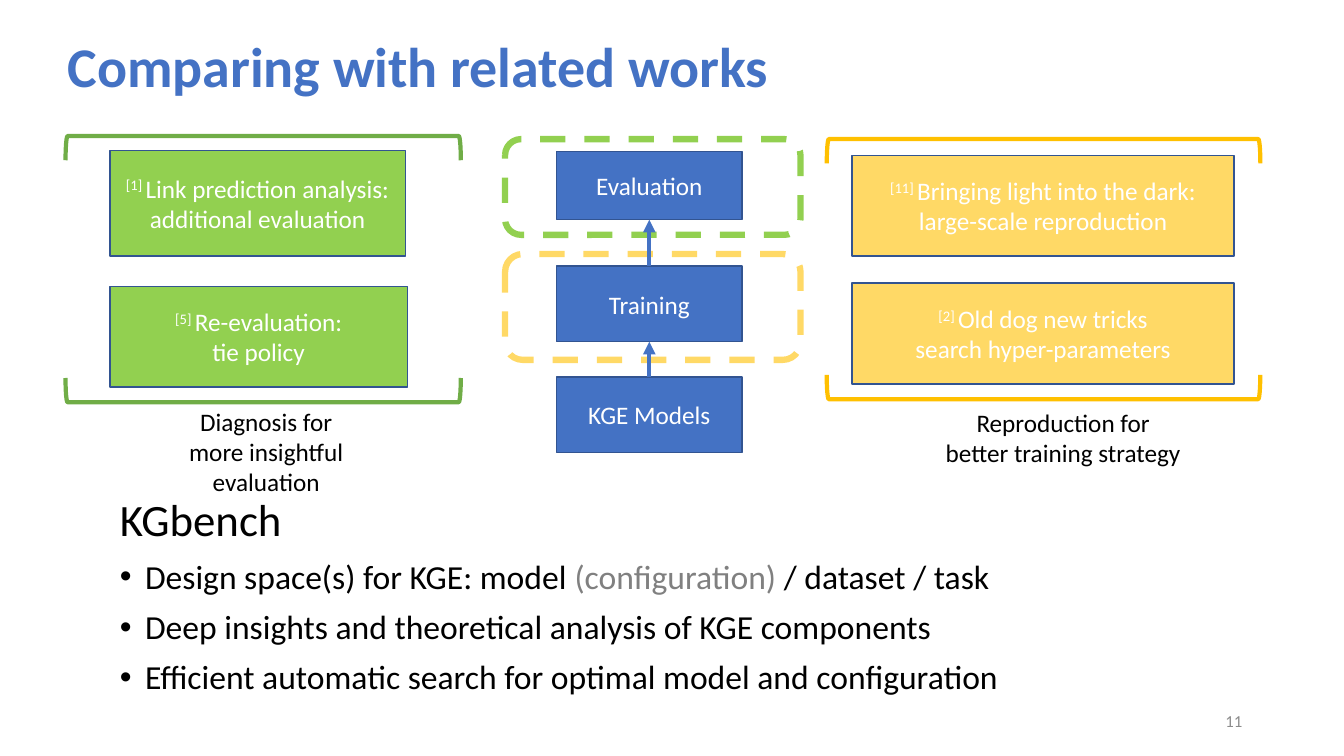
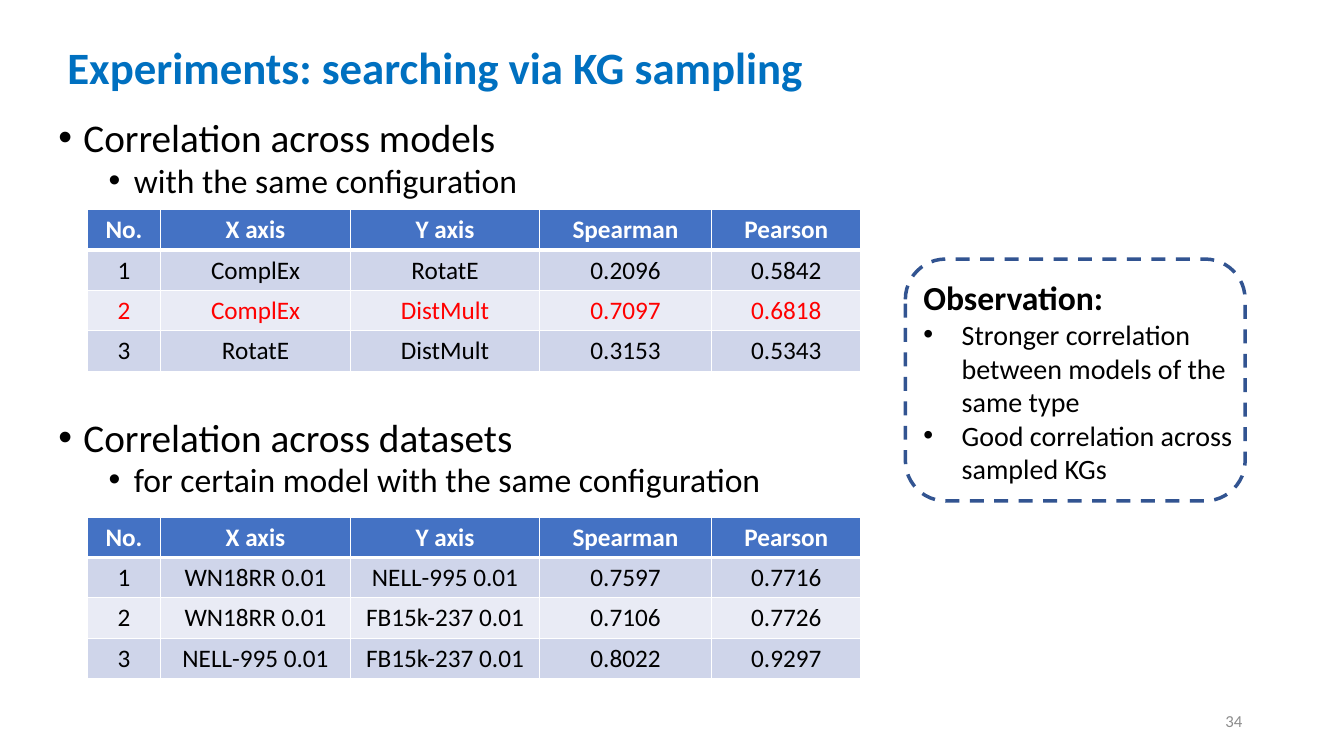
from dataclasses import dataclass
from typing import NamedTuple, Optional

import pptx
import pptx.dml.color
import pptx.enum.dml
import pptx.enum.shapes
import pptx.enum.text
import pptx.oxml
import pptx.oxml.ns
import pptx.util
from lxml import etree

EMU_PER_PX = 9144
SLIDE_SIZE = (1333, 750)
FONT = "Calibri"

BLACK, WHITE, GRAY, PAGE_GRAY, RED = "000000", "FFFFFF", "808080", "8C8C8C", "FF0000"
BLUE, TITLE_BLUE, OUTLINE = "4472C4", "0070C0", "325491"
LIME, GREEN, YELLOW, AMBER = "92D050", "70AD47", "FFD966", "FFC000"
BAND_DARK, BAND_LIGHT = "CFD5EA", "E9EBF5"

Shapes = pptx.enum.shapes.MSO_SHAPE
Align = pptx.enum.text.PP_ALIGN
Anchor = pptx.enum.text.MSO_ANCHOR


class Area(NamedTuple):
    left: int
    top: int
    width: int
    height: int


class Run(NamedTuple):
    text: str
    color: Optional[str] = None
    superscript: bool = False


@dataclass(frozen=True)
class Para:
    runs: tuple[Run, ...]
    size: int = 18
    color: str = BLACK
    bold: bool = False
    align: Align = Align.LEFT
    before: int = 0
    spacing: float = 1.0
    indent: int = 0
    hang: int = 0


class RelatedWork(NamedTuple):
    area: Area
    fill: str
    reference: str
    title: str
    finding: str


class BracketPair(NamedTuple):
    center: int
    span: int
    top_middle: int
    bottom_middle: int
    color: str


class Correlation(NamedTuple):
    top: int
    rows: tuple[tuple[str, ...], ...]
    highlighted: Optional[int] = None


def px(length: int) -> int:
    return pptx.util.Emu(length * EMU_PER_PX)


def rgb(color: str) -> pptx.dml.color.RGBColor:
    return pptx.dml.color.RGBColor.from_string(color)


def plain(text: str, **style) -> Para:
    return Para((Run(text),), **style)


def add_bullet(paragraph, indent: int, hang: int) -> None:
    properties = paragraph._p.get_or_add_pPr()
    properties.set("marL", str(px(indent)))
    properties.set("indent", str(-px(hang)))
    for tag, key, value in (("a:buFont", "typeface", "Arial"), ("a:buChar", "char", "•")):
        etree.SubElement(properties, pptx.oxml.ns.qn(tag)).set(key, value)


def write(frame, paras: list[Para]) -> None:
    for number, para in enumerate(paras):
        paragraph = frame.add_paragraph() if number else frame.paragraphs[0]
        if para.hang:
            add_bullet(paragraph, para.indent, para.hang)
        paragraph.alignment = para.align
        paragraph.line_spacing = para.spacing
        paragraph.space_before = pptx.util.Pt(para.before)
        paragraph.font.name = FONT
        paragraph.font.size = pptx.util.Pt(para.size)
        paragraph.font.bold = para.bold
        paragraph.font.color.rgb = rgb(para.color)
        for part in para.runs:
            run = paragraph.add_run()
            run.text = part.text
            if part.color:
                run.font.color.rgb = rgb(part.color)
            if part.superscript:
                run._r.get_or_add_rPr().set("baseline", "30000")


def add_text(slide, area: Area, paras: list[Para], anchor: Anchor = Anchor.TOP) -> None:
    frame = slide.shapes.add_textbox(*map(px, area)).text_frame
    frame.word_wrap = True
    frame.vertical_anchor = anchor
    write(frame, paras)


def add_outline(slide, kind: Shapes, area: Area, color: str, width: float,
                fill: Optional[str] = None, dashed: bool = False):
    shape = slide.shapes.add_shape(kind, *map(px, area))
    shape.shadow.inherit = False
    if fill:
        shape.fill.solid()
        shape.fill.fore_color.rgb = rgb(fill)
    else:
        shape.fill.background()
    shape.line.color.rgb = rgb(color)
    shape.line.width = pptx.util.Pt(width)
    if dashed:
        shape.line.dash_style = pptx.enum.dml.MSO_LINE.DASH
    return shape


def add_box(slide, area: Area, fill: str, paras: list[Para]):
    box = add_outline(slide, Shapes.RECTANGLE, area, OUTLINE, 1, fill)
    box.text_frame.word_wrap = True
    box.text_frame.vertical_anchor = Anchor.MIDDLE
    write(box.text_frame, paras)
    return box


def add_up_arrow(slide, lower, upper) -> None:
    arrow = slide.shapes.add_connector(pptx.enum.shapes.MSO_CONNECTOR.STRAIGHT, 0, 0, 0, 0)
    arrow.begin_connect(lower, 0)
    arrow.end_connect(upper, 2)
    arrow.line.color.rgb = rgb(BLUE)
    arrow.line.width = pptx.util.Pt(3)
    etree.SubElement(arrow.line._get_or_add_ln(), pptx.oxml.ns.qn("a:tailEnd")).set("type", "triangle")
    etree.SubElement(arrow._element.spPr, pptx.oxml.ns.qn("a:effectLst"))


def add_brackets(slide, pair: BracketPair) -> None:
    depth = 24
    for middle, rotation in ((pair.top_middle, 90), (pair.bottom_middle, 270)):
        area = Area(pair.center - depth // 2, middle - pair.span // 2, depth, pair.span)
        add_outline(slide, Shapes.LEFT_BRACKET, area, pair.color, 3).rotation = rotation


def add_borders(cell, top: int, bottom: int) -> None:
    properties = cell._tc.get_or_add_tcPr()
    for side, points in (("L", 1), ("R", 1), ("T", top), ("B", bottom)):
        border = etree.SubElement(properties, pptx.oxml.ns.qn(f"a:ln{side}"))
        border.set("w", str(pptx.util.Pt(points)))
        solid = etree.SubElement(border, pptx.oxml.ns.qn("a:solidFill"))
        etree.SubElement(solid, pptx.oxml.ns.qn("a:srgbClr")).set("val", WHITE)


def add_correlations(slide, correlation: Correlation) -> None:
    header = ("No.", "X axis", "Y axis", "Spearman", "Pearson")
    widths, row_height = (72, 189, 187, 171, 148), 40
    rows = (header, *correlation.rows)
    area = Area(87, correlation.top, sum(widths), row_height * len(rows))
    table = slide.shapes.add_table(len(rows), len(header), *map(px, area)).table
    table.horz_banding = False
    for column, width in zip(table.columns, widths):
        column.width = px(width)
    for r, row in enumerate(rows):
        table.rows[r].height = px(row_height)
        if r == 0:
            fill, color = BLUE, WHITE
        else:
            fill = BAND_DARK if r % 2 else BAND_LIGHT
            color = RED if r == correlation.highlighted else BLACK
        for c, value in enumerate(row):
            cell = table.cell(r, c)
            add_borders(cell, top=3 if r == 1 else 1, bottom=3 if r == 0 else 1)
            cell.fill.solid()
            cell.fill.fore_color.rgb = rgb(fill)
            write(cell.text_frame, [plain(value, color=color, bold=r == 0, align=Align.CENTER)])


def start_slide(deck, title: str, size: int, color: str, page: int):
    """Add a blank slide with its title and page number."""
    slide = deck.slides.add_slide(deck.slide_layouts[6])
    add_text(slide, Area(57, 0, 1035, 138),
             [plain(title, size=size, color=color, bold=True, spacing=0.9)], Anchor.MIDDLE)
    add_text(slide, Area(942, 695, 300, 40),
             [plain(str(page), size=12, color=PAGE_GRAY, align=Align.RIGHT)], Anchor.MIDDLE)
    return slide


def build_related_works(deck) -> None:
    slide = start_slide(deck, "Comparing with related works", 40, BLUE, 11)

    for area, color in ((Area(501, 138, 293, 95), LIME), (Area(501, 252, 293, 105), YELLOW)):
        add_outline(slide, Shapes.ROUNDED_RECTANGLE, area, color, 4.5, dashed=True)
    stages = [
        add_box(slide, Area(552, top, 184, height), BLUE,
                [plain(name, color=WHITE, align=Align.CENTER)])
        for name, top, height in (("KGE Models", 374, 75), ("Training", 264, 75), ("Evaluation", 150, 68))
    ]
    for lower, upper in zip(stages, stages[1:]):
        add_up_arrow(slide, lower, upper)

    works = (
        RelatedWork(Area(109, 149, 293, 105), LIME, "[1] ", "Link prediction analysis:", "additional evaluation"),
        RelatedWork(Area(109, 284, 295, 100), LIME, "[5] ", "Re-evaluation:", "tie policy"),
        RelatedWork(Area(845, 154, 379, 100), YELLOW, "[11] ", "Bringing light into the dark:",
                    "large-scale reproduction"),
        RelatedWork(Area(845, 281, 379, 100), YELLOW, "[2] ", "Old dog new tricks", "search hyper-parameters"),
    )
    for work in works:
        heading = Para((Run(work.reference, superscript=True), Run(work.title)),
                       color=WHITE, align=Align.CENTER)
        add_box(slide, work.area, work.fill,
                [heading, plain(work.finding, color=WHITE, align=Align.CENTER)])

    for pair in (BracketPair(261, 392, 147, 387, GREEN), BracketPair(1035, 430, 150, 384, AMBER)):
        add_brackets(slide, pair)
    captions = (
        (Area(124, 398, 280, 71), ("Diagnosis for", "more insightful evaluation")),
        (Area(913, 399, 283, 71), ("Reproduction for", "better training strategy")),
    )
    for area, lines in captions:
        add_text(slide, area, [plain(line, align=Align.CENTER) for line in lines])

    goals = (
        (Run("Design space(s) for KGE: model "), Run("(configuration) ", GRAY), Run("/ dataset / task")),
        (Run("Deep insights and theoretical analysis of KGE components"),),
        (Run("Efficient automatic search for optimal model and configuration"),),
    )
    add_text(slide, Area(109, 489, 1177, 237), [
        plain("KGbench", size=32, spacing=0.9),
        *(Para(goal, size=24, before=10, spacing=0.9, indent=25, hang=25) for goal in goals),
    ])


def build_experiments(deck) -> None:
    slide = start_slide(deck, "Experiments: searching via KG sampling", 32, TITLE_BLUE, 34)

    topics = (
        ("Correlation across models", "with the same configuration", 0),
        ("Correlation across datasets", "for certain model with the same configuration", 159),
    )
    outline = []
    for topic, condition, before in topics:
        outline += [
            plain(topic, size=28, before=before, spacing=0.8, indent=25, hang=25),
            plain(condition, size=24, before=5, spacing=0.8, indent=75, hang=25),
        ]
    add_text(slide, Area(48, 117, 986, 416), outline)

    add_correlations(slide, Correlation(208, (
        ("1", "ComplEx", "RotatE", "0.2096", "0.5842"),
        ("2", "ComplEx", "DistMult", "0.7097", "0.6818"),
        ("3", "RotatE", "DistMult", "0.3153", "0.5343"),
    ), highlighted=2))
    add_correlations(slide, Correlation(513, (
        ("1", "WN18RR 0.01", "NELL-995 0.01", "0.7597", "0.7716"),
        ("2", "WN18RR 0.01", "FB15k-237 0.01", "0.7106", "0.7726"),
        ("3", "NELL-995 0.01", "FB15k-237 0.01", "0.8022", "0.9297"),
    )))

    observations = (
        "Stronger correlation between models of the same type",
        "Good correlation across sampled KGs",
    )
    add_text(slide, Area(906, 270, 365, 219), [
        plain("Observation:", size=24, bold=True),
        *(plain(observation, size=20, indent=38, hang=38) for observation in observations),
    ])
    add_outline(slide, Shapes.ROUNDED_RECTANGLE, Area(898, 257, 337, 240), OUTLINE, 2.5, dashed=True)


def main() -> None:
    deck = pptx.Presentation()
    deck.slide_width, deck.slide_height = map(px, SLIDE_SIZE)
    build_related_works(deck)
    build_experiments(deck)
    deck.save("out.pptx")


if __name__ == "__main__":
    main()
